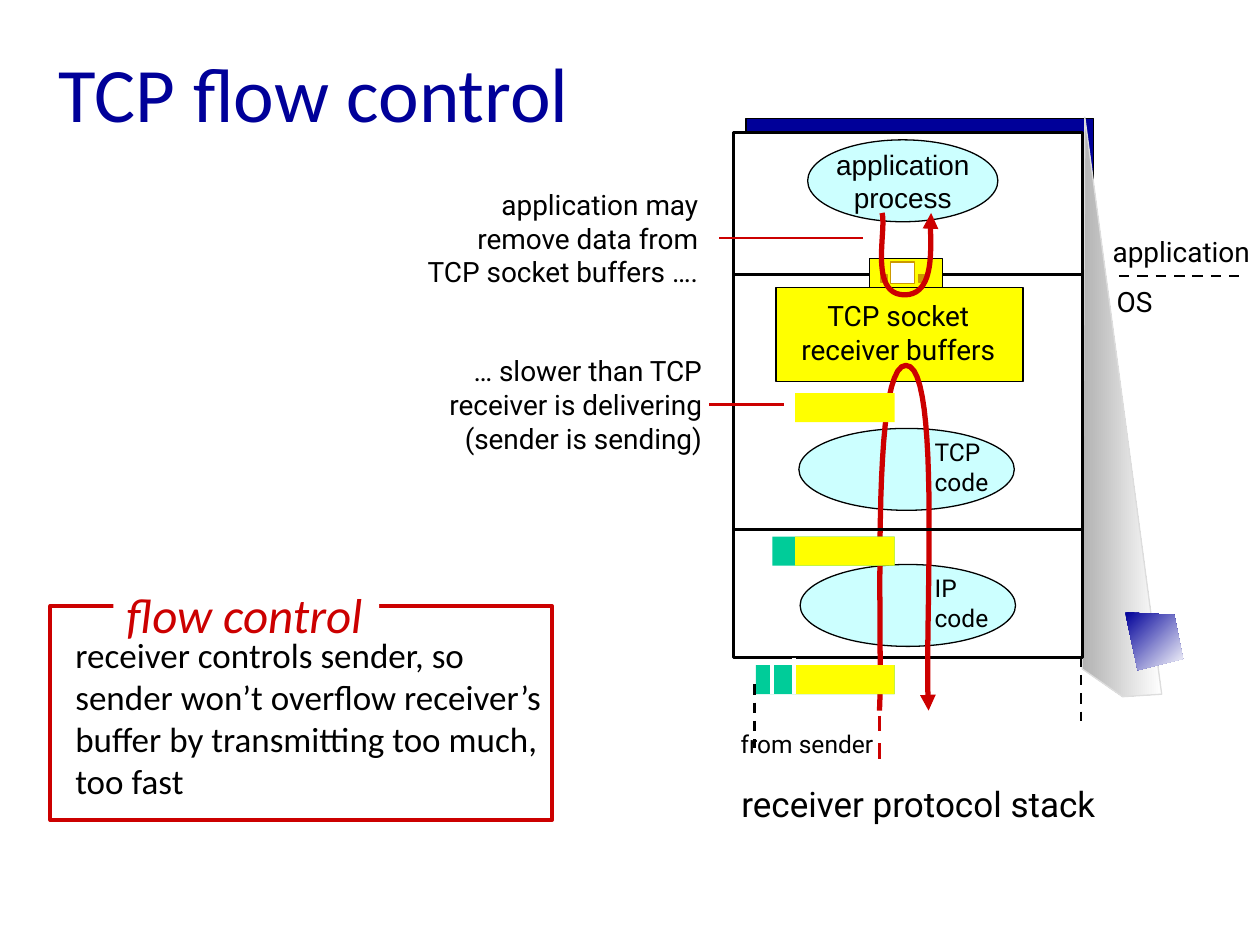
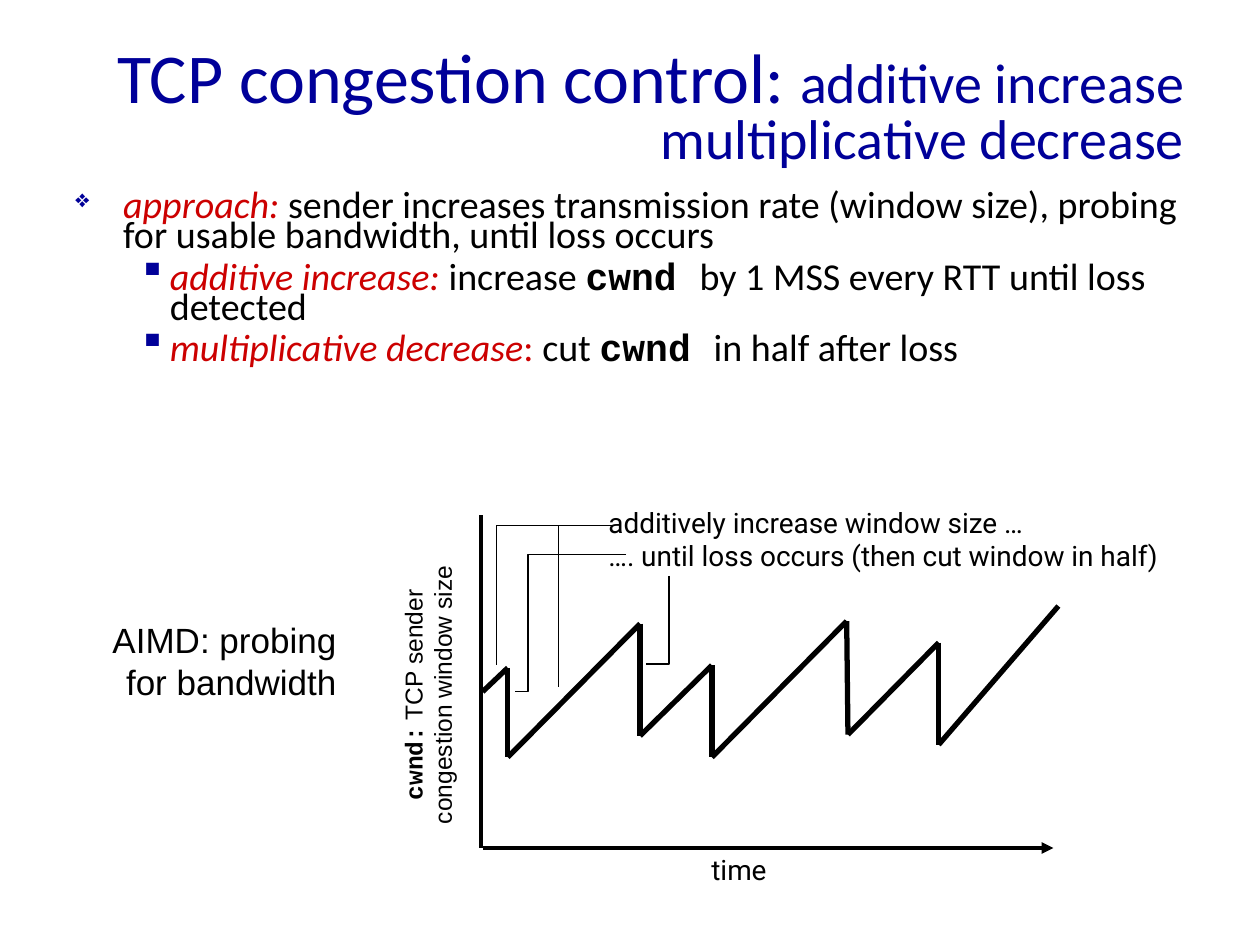
from itertools import pairwise

from lxml.etree import SubElement
from pptx import Presentation
from pptx.dml.color import RGBColor
from pptx.enum.dml import MSO_LINE
from pptx.enum.shapes import MSO_CONNECTOR, MSO_SHAPE
from pptx.enum.text import MSO_ANCHOR as ANCHOR, PP_ALIGN as ALIGN
from pptx.oxml.ns import qn
from pptx.util import Inches, Pt

COLORS = {
    "navy": "000099", "red": "CC0000", "black": "000000", "white": "FFFFFF",
    "cyan": "CCFFFF", "yellow": "FFFF00", "green": "00CC99", "gold": "CC9900",
    "gray": "B2B2B2", "edge": "DDDDDD",
}
RGB = {name: RGBColor.from_string(value) for name, value in COLORS.items()}
TITLE = {"font": "Calibri", "color": "navy", "anchor": ANCHOR.MIDDLE, "wrap": True}
PRESETS = {"rect": MSO_SHAPE.RECTANGLE, "ellipse": MSO_SHAPE.OVAL}


def draw(slide, kind, geometry, fill=None, line=None, width=0.75, dash=False, arrow=False):
    """Geometry is a box for a preset and points for a line or path; a fill pair is a gradient."""
    if kind == "line":
        (x1, y1), (x2, y2) = geometry
        item = slide.shapes.add_connector(
            MSO_CONNECTOR.STRAIGHT, Inches(x1), Inches(y1), Inches(x2), Inches(y2))
    elif kind == "path":
        points = [(Inches(x), Inches(y)) for x, y in geometry]
        outline = slide.shapes.build_freeform(*points[0], scale=1.0)
        outline.add_line_segments(points[1:], close=fill is not None)
        item = outline.convert_to_shape()
    else:
        item = slide.shapes.add_shape(PRESETS[kind], *map(Inches, geometry))

    if line:
        item.line.color.rgb = RGB[line]
        item.line.width = Pt(width)
        if dash:
            item.line.dash_style = MSO_LINE.DASH
        if arrow:
            SubElement(item.line._get_or_add_ln(), qn("a:tailEnd"), type="triangle")
    else:
        item.line.fill.background()

    if kind == "line":
        SubElement(item._element.spPr, qn("a:effectLst"))
        return item
    item.shadow.inherit = False
    if isinstance(fill, tuple):
        item.fill.gradient()
        for stop, name in zip(item.fill.gradient_stops, fill):
            stop.color.rgb = RGB[name]
    elif fill:
        item.fill.solid()
        item.fill.fore_color.rgb = RGB[fill]
    else:
        item.fill.background()
    return item


def write(slide, box, paragraphs, size=16, font="Roboto", color="black",
          align=ALIGN.LEFT, anchor=ANCHOR.TOP, wrap=False, spacing=None):
    """Each paragraph is a string or a list of (text, format) runs."""
    label = slide.shapes.add_textbox(*map(Inches, box))
    frame = label.text_frame
    frame.word_wrap = wrap
    frame.vertical_anchor = anchor
    for number, runs in enumerate(paragraphs):
        paragraph = frame.paragraphs[0] if number == 0 else frame.add_paragraph()
        paragraph.alignment = align
        if spacing:
            paragraph.line_spacing = spacing
        for text, special in [(runs, {})] if isinstance(runs, str) else runs:
            run = paragraph.add_run()
            run.text = text
            looks = {"name": font, "size": Pt(size), "color": color} | special
            run.font.color.rgb = RGB[looks.pop("color")]
            for attribute, value in looks.items():
                setattr(run.font, attribute, value)
    return label


prs = Presentation()
prs.slide_width, prs.slide_height = Inches(10), Inches(7.5)
blank = prs.slide_layouts[6]

# Slide 1: flow control
flow = prs.slides.add_slide(blank)
write(flow, (0.37, 0.19, 8.5, 1.07), ["TCP flow control"], 44, **TITLE)

# Receiver host with its side and protocol layers
draw(flow, "rect", (5.92, 0.94, 2.76, 4.22), "navy", "black")
side = draw(flow, "path", [(9.22, 5.51), (8.61, 0.93), (8.59, 5.31), (8.91, 5.53), (9.22, 5.51)],
            ("gray", "white"), "edge")
side.fill.gradient_angle = 0
draw(flow, "rect", (5.82, 1.05, 2.77, 4.17), "white", "black", 1.5)
draw(flow, "ellipse", (6.41, 1.11, 1.51, 0.65), "cyan", "black")
write(flow, (6.41, 1.11, 1.51, 0.65), ["application", "process"], font="Arial",
      align=ALIGN.CENTER, anchor=ANCHOR.MIDDLE)
draw(flow, "rect", (6.16, 2.28, 1.96, 0.75), "yellow", "black")
write(flow, (6.21, 2.32, 1.84, 0.64), ["TCP socket", "receiver buffers"], align=ALIGN.CENTER)
for layer, left, top in [("TCP", 6.34, 3.4), ("IP", 6.35, 4.48)]:
    draw(flow, "ellipse", (left, top, 1.71, 0.65), "cyan", "black")
    write(flow, (7.32, top + 0.02, 0.64, 0.57), [layer, "code"], 14)

# Data paths: two cubic curves each, sampled evenly
delivery = [[(6.98, 5.64), (7.01, 5.18), (6.9, 2.9), (7.19, 2.9)],
            [(7.19, 2.9), (7.48, 2.9), (7.33, 5.07), (7.37, 5.64)]]
reading = [[(7, 1.69), (7.04, 1.82), (6.89, 2.34), (7.18, 2.34)],
           [(7.18, 2.34), (7.47, 2.34), (7.36, 1.8), (7.39, 1.69)]]
STEPS = 24
routes = []
for curves in (delivery, reading):
    route = [curves[0][0]]
    for curve in curves:
        for step in range(1, STEPS + 1):
            t = step / STEPS
            weights = ((1 - t) ** 3, 3 * t * (1 - t) ** 2, 3 * t * t * (1 - t), t ** 3)
            route.append(tuple(sum(w * point[axis] for w, point in zip(weights, curve))
                               for axis in (0, 1)))
    routes.append(route)
delivery_route, reading_route = routes

draw(flow, "path", delivery_route, line="red", width=3, arrow=True)
for boundary in (4.2, 2.18):
    draw(flow, "line", [(5.82, boundary), (8.6, boundary)], line="black", width=1.5)

# Socket between the application and the operating system
for box, fill, line in [
    ((6.9, 2.05, 0.58, 0.23), "yellow", "black"),
    ((7.07, 2.08, 0.19, 0.17), "white", "gold"),
    ((7.29, 2.18, 0.05, 0.06), "gold", "gold"),
    ((6.99, 2.18, 0.05, 0.06), "gold", "gold"),
]:
    draw(flow, "rect", box, fill, line)
draw(flow, "path", reading_route, line="red", width=3, arrow=True)

# Segments gain one header per layer on the way down
DATA_LEFT, DATA_RIGHT, SEGMENT_HEIGHT = 6.31, 7.1, 0.23
for top, headers_left in [(3.12, None), (4.26, 6.13), (5.28, 6)]:
    if headers_left:
        draw(flow, "rect", (headers_left, top, DATA_RIGHT - headers_left, SEGMENT_HEIGHT), "green")
    draw(flow, "rect", (DATA_LEFT, top, DATA_RIGHT - DATA_LEFT, SEGMENT_HEIGHT), "yellow")
for divider in (6.13, 6.3):
    draw(flow, "line", [(divider, 5.28), (divider, 5.51)], line="white", width=2.25)

# Remarks beside the host
write(flow, (8.7, 1.81, 1.35, 0.37), ["application"], align=ALIGN.CENTER)
write(flow, (8.76, 2.21, 0.49, 0.37), ["OS"], align=ALIGN.CENTER)
write(flow, (5.71, 6.16, 3.16, 0.44), ["receiver protocol stack"], 20, align=ALIGN.CENTER)
write(flow, (2.2, 1.44, 3.44, 0.9),
      ["application may", "remove data from", "TCP socket buffers …."], align=ALIGN.RIGHT, wrap=True)
write(flow, (3.39, 2.76, 2.28, 1.17),
      ["… slower than TCP", "receiver is delivering", "(sender is sending)"],
      align=ALIGN.RIGHT, wrap=True)
write(flow, (5.74, 5.74, 1.33, 0.34), ["from sender"], 14, align=ALIGN.CENTER)
for start, end, color, width, dash in [
    ((5.71, 1.89), (6.85, 1.89), "red", 1.5, False),
    ((5.63, 3.21), (6.22, 3.21), "red", 1.5, False),
    ((6.98, 5.68), (6.98, 6.06), "red", 2.25, True),
    ((8.88, 2.19), (9.83, 2.19), "black", 1.5, True),
    ((5.99, 5.43), (5.99, 5.94), "black", 1.5, True),
    ((8.58, 5.21), (8.58, 5.72), "black", 1.5, True),
    ((6.3, 5.22), (6.3, 5.44), "white", 2.25, False),
]:
    draw(flow, "line", [start, end], line=color, width=width, dash=dash)

# Definition
draw(flow, "rect", (0.4, 4.81, 3.98, 1.7), "white", "red", 2.25)
write(flow, (0.5, 4.98, 3.93, 1.77),
      ["receiver controls sender, so sender won’t overflow receiver’s buffer "
       "by transmitting too much, too fast"], 20, "Calibri", wrap=True)
draw(flow, "rect", (0.9, 4.69, 2.11, 0.39), "white")
write(flow, (0.82, 4.59, 2.24, 0.57), [[("flow control", {"italic": True})]], 28, "Calibri",
      "red", ALIGN.CENTER)

foot = draw(flow, "path", [(8.93, 4.86), (9.32, 4.88), (9.39, 5.23), (9.03, 5.32), (8.93, 4.86)],
            ("navy", "white"))
foot.fill.gradient_angle = 315

# Slide 2: congestion control
congestion = prs.slides.add_slide(blank)
write(congestion, (0.25, 0.25, 9.25, 1.25),
      [[("TCP congestion control: ", {}),
        ("additive increase multiplicative decrease", {"size": Pt(32)})]],
      40, align=ALIGN.RIGHT, spacing=0.8, **TITLE)

term = {"color": "red", "italic": True}
code = {"name": "Courier New", "bold": True}
approach = write(congestion, (0.5, 1.5, 9.16, 1.58), [
    [("approach: ", term),
     ("sender increases transmission rate (window size), probing for usable bandwidth, "
      "until loss occurs", {})],
    [("additive increase:", term), (" increase ", {}), ("cwnd ", code),
     ("by 1 MSS every RTT until loss detected", {})],
    [("multiplicative decrease", term), (":", {"color": "red"}), (" cut ", {}),
     ("cwnd ", code), ("in half after loss", {})],
], 21.7, "Calibri", wrap=True, spacing=0.65)
for number, paragraph in enumerate(approach.text_frame.paragraphs):
    level, margin, hanging, bullet, percent = (
        (1, 0.75, 0.25, "▪", 100) if number else (0, 0.38, 0.38, "❖", 65))
    paragraph.level = level
    properties = paragraph._p.get_or_add_pPr()
    properties.set("marL", str(Inches(margin)))
    properties.set("indent", str(-Inches(hanging)))
    SubElement(SubElement(properties, qn("a:buClr")), qn("a:srgbClr"), val=COLORS["navy"])
    SubElement(properties, qn("a:buSzPct"), val=str(percent * 1000))
    SubElement(properties, qn("a:buChar"), char=bullet)
    if number:
        paragraph.space_before = Pt(7)

# Window size over time
window_axis = write(congestion, (2.27, 5.23, 2.25, 0.57),
                    [[("cwnd:", code), (" TCP sender", {})], "congestion window size"],
                    14, "Arial", align=ALIGN.CENTER)
window_axis.rotation = 270
write(congestion, (0.79, 4.86, 1.98, 0.77), ["AIMD: probing", "for bandwidth"], 20, "Arial",
      align=ALIGN.RIGHT)
draw(congestion, "line", [(3.83, 6.73), (8.36, 6.73)], line="black", width=2.25, arrow=True)
draw(congestion, "line", [(3.82, 4.09), (3.82, 6.73)], line="black", width=2.25)
sawtooth = [(3.83, 5.49), (4.03, 5.3), (4.03, 6.01), (5.08, 4.95), (5.08, 5.84), (5.65, 5.28),
            (5.65, 6.01), (6.72, 4.93), (6.73, 5.83), (7.45, 5.1), (7.45, 5.91), (8.4, 4.81)]
for segment in pairwise(sawtooth):
    draw(congestion, "line", segment, line="black", width=3)

write(congestion, (4.73, 3.96, 4.78, 0.64),
      ["additively increase window size …", "…. until loss occurs (then cut window in half)"])
for leader in [
    [(4.88, 4.17), (3.94, 4.17), (3.94, 5.28)],
    [(4.97, 4.4), (4.19, 4.4), (4.19, 5.49), (4.09, 5.49)],
    [(4.88, 4.17), (4.43, 4.17), (4.43, 5.45)],
    [(5.31, 4.57), (5.31, 5.27), (5.13, 5.27)],
]:
    draw(congestion, "path", leader, line="black")
write(congestion, (5.53, 6.72, 0.67, 0.37), ["time"], align=ALIGN.CENTER)

prs.save("out.pptx")
